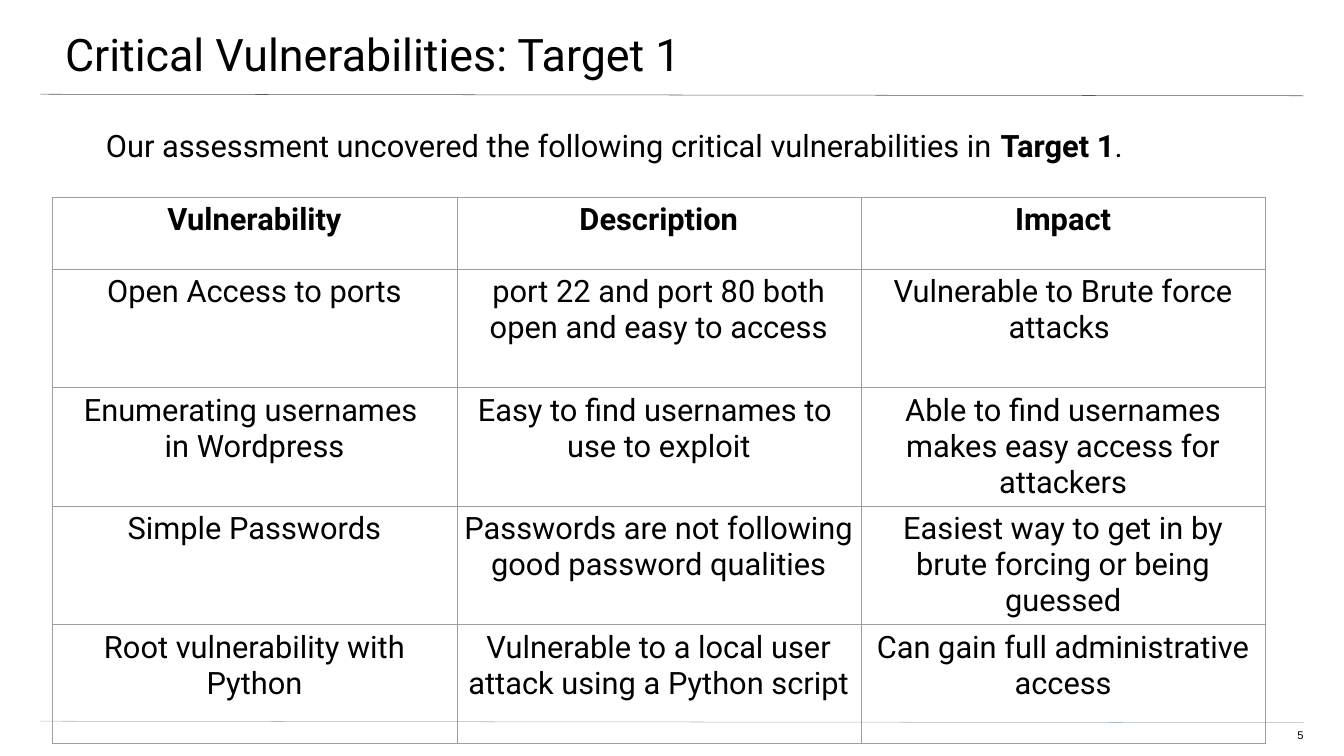
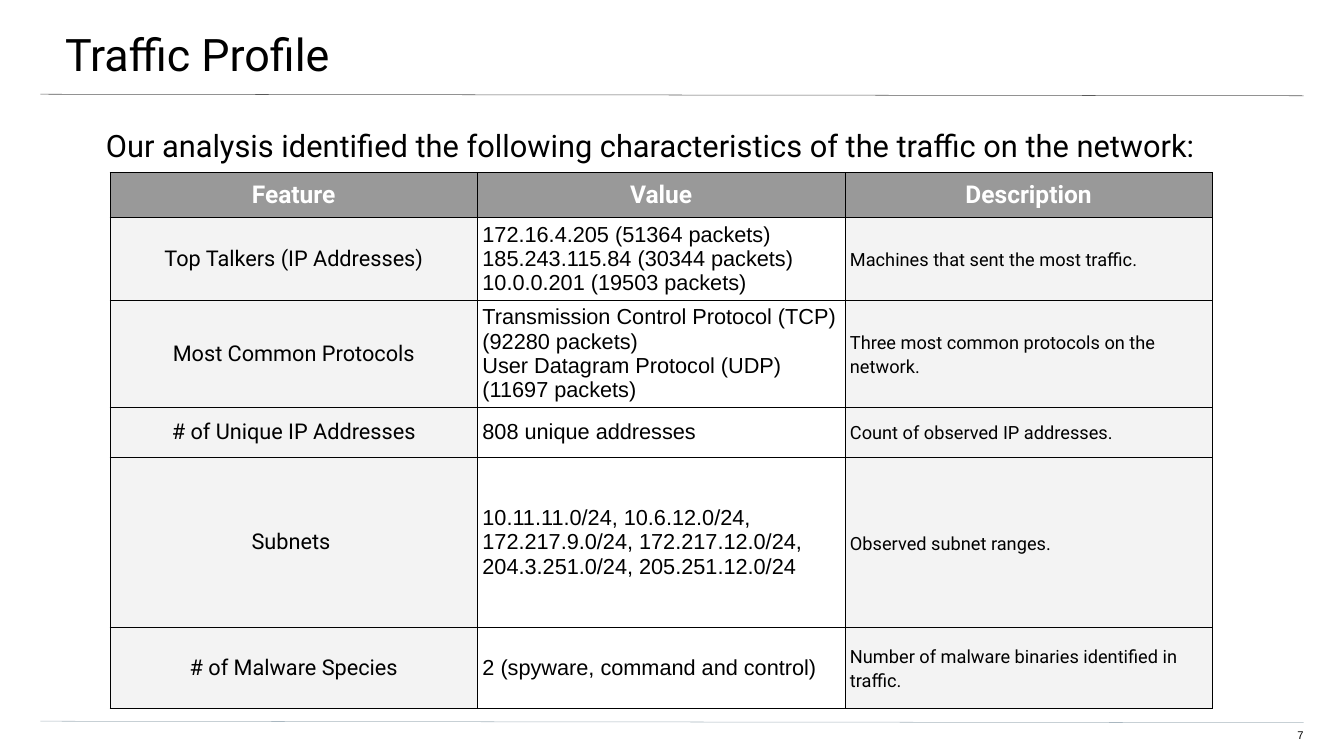
from lxml.etree import SubElement
from pptx import Presentation
from pptx.dml.color import RGBColor
from pptx.enum.shapes import MSO_CONNECTOR
from pptx.enum.text import MSO_ANCHOR, PP_ALIGN
from pptx.oxml import parse_xml
from pptx.oxml.ns import nsdecls, qn
from pptx.util import Inches, Pt

BLACK = RGBColor(0x00, 0x00, 0x00)
WHITE = RGBColor(0xFF, 0xFF, 0xFF)
HEADER_GREY = RGBColor(0x99, 0x99, 0x99)
CELL_GREY = RGBColor(0xF3, 0xF3, 0xF3)
BORDER_GREY = RGBColor(0x9E, 0x9E, 0x9E)
TITLE_RULE = RGBColor(0x59, 0x59, 0x59)
FOOTER_RULE = RGBColor(0xA9, 0xB7, 0xC0)


def write(frame, text, size=44, font="Roboto", color=BLACK, bold=False,
          align=PP_ALIGN.LEFT, line_spacing=None, space_after=0):
    """Fill a frame: one paragraph per line, ** switches bold."""
    frame.word_wrap = True
    for number, line in enumerate(text.split("\n")):
        para = frame.add_paragraph() if number else frame.paragraphs[0]
        para.alignment = align
        para.space_after = Pt(space_after)
        if line_spacing:
            para.line_spacing = line_spacing
        for part, words in enumerate(line.split("**")):
            span = para.add_run()
            span.text = words
            span.font.name = font
            span.font.size = Pt(size)
            span.font.bold = bold or part % 2 == 1
            span.font.color.rgb = color


def add_text_box(page, place, insets, text, **text_format):
    frame = page.shapes.add_textbox(*map(Inches, place)).text_frame
    (frame.margin_left, frame.margin_top,
     frame.margin_right, frame.margin_bottom) = map(Inches, insets)
    frame.vertical_anchor = MSO_ANCHOR.TOP
    write(frame, text, **text_format)


# Cell formats: text, then fill
CENTER = PP_ALIGN.CENTER
plain_head = dict(align=CENTER, bold=True), None
plain_cell = dict(align=CENTER), None
band_head = dict(size=35, color=WHITE, bold=True, align=CENTER), HEADER_GREY
feature_cell = dict(size=31, align=CENTER), CELL_GREY
value_cell = dict(size=31, font="Arial"), None
note_cell = dict(size=26, line_spacing=1.15, space_after=10), CELL_GREY

# Content of the pages
pages = [
    dict(
        title="Critical Vulnerabilities: Target 1",
        number="5",
        intro="Our assessment uncovered the following critical "
              "vulnerabilities in **Target 1**.",
        corner=(1.04, 3.91),
        column_width=8.02,
        row_heights=[1.43] + [2.35] * 4,
        border=BORDER_GREY,
        anchor=MSO_ANCHOR.TOP,
        cell_margins=(0.1, 0.02),
        head=plain_head,
        columns=[plain_cell] * 3,
        rows=[
            ("Vulnerability", "Description", "Impact"),
            ("Open Access to ports",
             "port 22 and port 80 both open and easy to access",
             "Vulnerable to Brute force attacks "),
            ("Enumerating usernames \nin Wordpress",
             "Easy to find usernames to \nuse to exploit",
             "Able to find usernames makes easy access for attackers"),
            ("Simple Passwords",
             "Passwords are not following\ngood password qualities",
             "Easiest way to get in by brute forcing or being guessed"),
            ("Root vulnerability with Python",
             "Vulnerable to a local user\nattack using a Python script",
             "Can gain full administrative access"),
        ],
    ),
    dict(
        title="Traffic Profile",
        number="7",
        intro="Our analysis identified the following characteristics "
              "of the traffic on the network:",
        corner=(2.18, 3.42),
        column_width=7.29,
        row_heights=[0.89, 1.65, 2.12, 0.99, 3.38, 1.6],
        border=BLACK,
        anchor=MSO_ANCHOR.MIDDLE,
        cell_margins=(0.01, 0.01),
        head=band_head,
        columns=[feature_cell, value_cell, note_cell],
        rows=[
            ("Feature", "Value", "Description"),
            ("Top Talkers (IP Addresses)",
             "172.16.4.205 (51364 packets)\n"
             "185.243.115.84 (30344 packets)\n"
             "10.0.0.201 (19503 packets)",
             "Machines that sent the most traffic."),
            ("Most Common Protocols",
             "Transmission Control Protocol (TCP) (92280 packets)\n"
             "User Datagram Protocol (UDP) (11697 packets)",
             "Three most common protocols on the network."),
            ("# of Unique IP Addresses", "808 unique addresses",
             "Count of observed IP addresses."),
            ("Subnets ",
             "10.11.11.0/24, 10.6.12.0/24, 172.217.9.0/24, "
             "172.217.12.0/24, 204.3.251.0/24, 205.251.12.0/24",
             "Observed subnet ranges."),
            ("# of Malware Species", "2 (spyware, command and control)",
             "Number of malware binaries identified in traffic."),
        ],
    ),
]

deck = Presentation()
deck.slide_width = Inches(26.66)
deck.slide_height = Inches(15)

for content in pages:
    page = deck.slides.add_slide(deck.slide_layouts[6])

    # Rules under the title and above the footer
    for top, color in ((1.87, TITLE_RULE), (14.31, FOOTER_RULE)):
        rule = page.shapes.add_connector(
            MSO_CONNECTOR.STRAIGHT, Inches(0.8), Inches(top),
            Inches(25.86), Inches(top + 0.03))
        rule.line.color.rgb = color
        rule.line.width = Pt(0.75)
        SubElement(rule.element.spPr, qn("a:effectLst"))

    # Title, page number and introduction
    add_text_box(page, (-0.04, 0, 26.73, 1.56), (1.33, 0.53, 0.8, 0.27),
                 content["title"], size=64)
    add_text_box(page, (25.1, 14.46, 0.76, 0.31), (0, 0, 0, 0.27),
                 content["number"], size=16, font="Arial",
                 align=PP_ALIGN.RIGHT)
    add_text_box(page, (0.77, 2.51, 25.09, 10.79), (1.33, 0, 1.33, 0),
                 content["intro"])

    # Table
    rows, heights = content["rows"], content["row_heights"]
    width = content["column_width"]
    left, top = content["corner"]
    table = page.shapes.add_table(
        len(rows), 3, Inches(left), Inches(top),
        Inches(3 * width), Inches(sum(heights))).table
    table.first_row = False
    table.horz_banding = False
    for column in table.columns:
        column.width = Inches(width)

    for row_index, texts in enumerate(rows):
        table.rows[row_index].height = Inches(heights[row_index])
        formats = content["columns"] if row_index else [content["head"]] * 3
        for column_index, (text_format, fill) in enumerate(formats):
            cell = table.cell(row_index, column_index)
            cell.margin_left = cell.margin_right = Inches(0.1)
            cell.margin_top, cell.margin_bottom = map(
                Inches, content["cell_margins"])
            cell.vertical_anchor = content["anchor"]
            if fill is None:
                cell.fill.background()
            else:
                cell.fill.solid()
                cell.fill.fore_color.rgb = fill
            write(cell.text_frame, texts[column_index], **text_format)

            # Borders stand before the fill in the cell properties
            properties = cell._tc.get_or_add_tcPr()
            for place, side in enumerate(("lnL", "lnR", "lnT", "lnB")):
                properties.insert(place, parse_xml(
                    f'<a:{side} {nsdecls("a")} w="{Pt(0.75)}"><a:solidFill>'
                    f'<a:srgbClr val="{content["border"]}"/></a:solidFill>'
                    f'</a:{side}>'))

deck.save("out.pptx")
